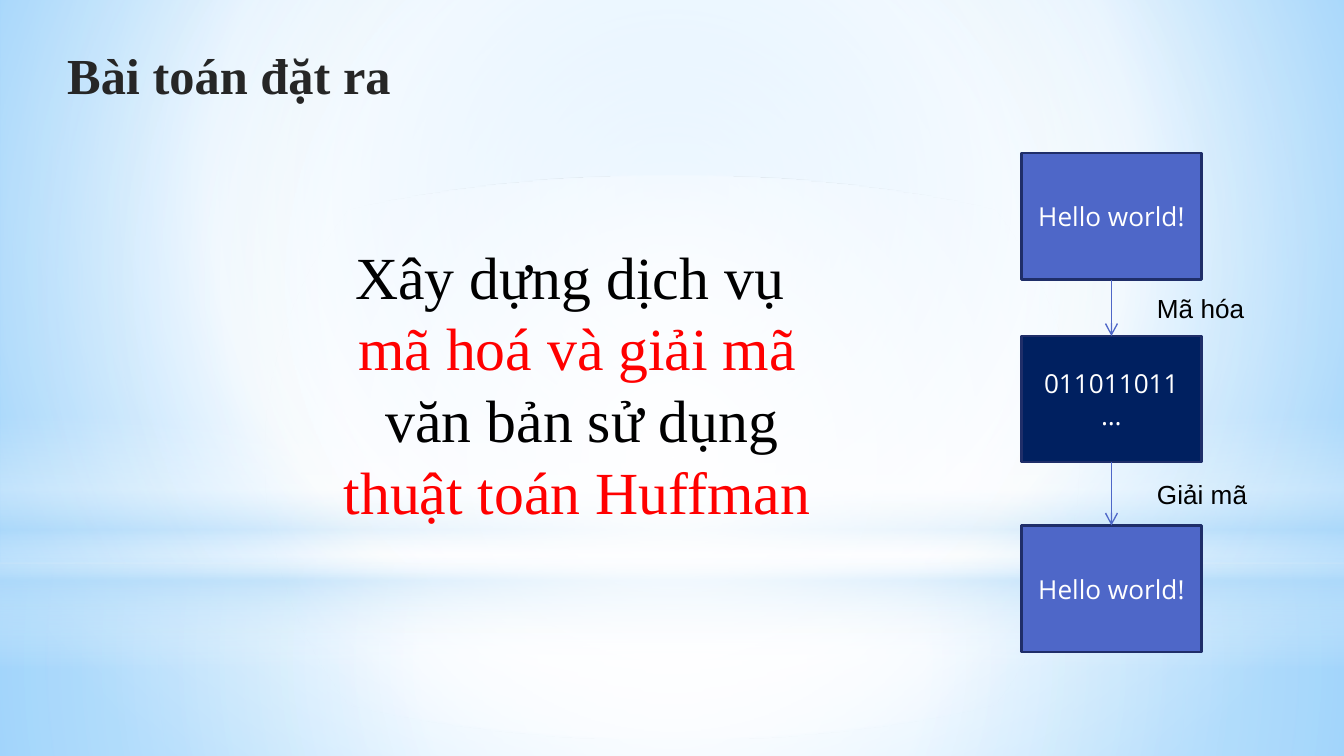
from lxml import etree
from pptx import Presentation
from pptx import util as u
from pptx.dml.color import RGBColor
from pptx.enum import shapes, text
from pptx.oxml import ns

COLORS = {
    "white": "FFFFFF", "black": "000000", "red": "FF0000", "title": "262626",
    "box": "4E67C8", "code": "002060", "outline": "1F2E69",
    "sky": "9ED5FF", "deep_sky": "5BB9FF", "mist": "B4DCFA",
}
CENTER = (50, 50, 50, 50)
SERIF = "Times New Roman"
SHAPE = shapes.MSO_SHAPE
BACKDROP = [
    (SHAPE.RECTANGLE, 4.19, 1.44, CENTER,
     [(0, "white", 91), (37, "white", 76), (100, "mist", 79)]),
    (SHAPE.RECTANGLE, 0, 4.19, CENTER,
     [(0, "white", 89), (48, "white", 62), (100, "mist", 79)]),
    (SHAPE.RECTANGLE, 3.09, 1.88, None,
     [(0, "white", 0), (29, "white", 30), (45, "mist", 40),
      (55, "white", 26), (65, "mist", 60), (100, "white", 0)]),
    (SHAPE.OVAL, 1.31, 4.19, CENTER, [(0, "white", 100), (56, "white", 0)]),
]
BODY = [
    [("Xây dựng dịch vụ", "black")],
    [(" mã hoá và giải mã ", "red"), ("văn bản sử dụng", "black")],
    [(" thuật toán Huffman", "red")],
]
BOXES = [("Hello world!", 1.14, "box"), ("011011011…", 2.5, "code"),
         ("Hello world!", 3.91, "box")]
LABELS = [("Mã hóa", 2.13, 0.85), ("Giải mã", 3.51, 0.88)]


def rgb(name):
    return RGBColor.from_string(COLORS[name])


def set_values(target, values):
    for name, value in values.items():
        setattr(target, name, value)


def add_node(parent, tag, **attributes):
    return etree.SubElement(parent, ns.qn(tag),
                            {name: str(value) for name, value in attributes.items()})


def set_gradient(properties, stops, focus):
    solid = properties.find(ns.qn("a:solidFill"))
    gradient = etree.Element(ns.qn("a:gradFill"), rotWithShape="1")
    stop_list = add_node(gradient, "a:gsLst")
    for position, color, opacity in stops:
        stop = add_node(stop_list, "a:gs", pos=position * 1000)
        swatch = add_node(stop, "a:srgbClr", val=COLORS[color])
        add_node(swatch, "a:alpha", val=opacity * 1000)
    if focus:
        edges = {side: value * 1000 for side, value in zip("ltrb", focus)}
        add_node(add_node(gradient, "a:path", path="circle"), "a:fillToRect", **edges)
    else:
        add_node(gradient, "a:lin", ang=90 * 60000, scaled=0)
    properties.replace(solid, gradient)


def add_backdrop(slide):
    slide.background.fill.solid()
    slide.background.fill.fore_color.rgb = rgb("white")
    set_gradient(slide.element.find(".//" + ns.qn("p:bgPr")),
                 [(0, "sky", 100), (60, "white", 100), (100, "deep_sky", 100)],
                 (20, 10, 20, 60))
    for kind, top, height, focus, stops in BACKDROP:
        shape = slide.shapes.add_shape(kind, 0, u.Inches(top), u.Inches(10), u.Inches(height))
        shape.shadow.inherit = False
        shape.line.fill.background()
        shape.fill.solid()
        set_gradient(shape.element.spPr, stops, focus)


def add_run(paragraph, words, color, size, font, bold=False):
    run = paragraph.add_run()
    run.text = words
    set_values(run.font, {"size": u.Pt(size), "name": font, "bold": bold})
    run.font.color.rgb = rgb(color)


def place(placeholder, left, top, width, height):
    set_values(placeholder, {"left": u.Inches(left), "top": u.Inches(top),
                             "width": u.Inches(width), "height": u.Inches(height)})
    set_values(placeholder.text_frame, {
        "margin_left": u.Inches(0.07), "margin_right": u.Inches(0.07),
        "margin_top": u.Inches(0.04), "margin_bottom": u.Inches(0.04),
        "word_wrap": True, "auto_size": text.MSO_AUTO_SIZE.NONE,
        "vertical_anchor": text.MSO_ANCHOR.TOP,
    })
    placeholder.element.getparent().append(placeholder.element)


def fill_title(title):
    place(title, 0.43, 0.29, 7.12, 0.94)
    paragraph = title.text_frame.paragraphs[0]
    set_values(paragraph, {"alignment": text.PP_ALIGN.LEFT, "line_spacing": 1.0})
    add_run(paragraph, "Bài toán đặt ra", "title", 27, SERIF, True)


def fill_body(body):
    place(body, 2.04, 1.74, 4.3, 2.8)
    frame = body.text_frame
    for index, runs in enumerate(BODY):
        paragraph = frame.add_paragraph() if index else frame.paragraphs[0]
        set_values(paragraph, {"alignment": text.PP_ALIGN.CENTER,
                               "line_spacing": 1.0, "space_before": u.Pt(0)})
        properties = paragraph._p.get_or_add_pPr()
        properties.set("marL", str(u.Inches(0.28)))
        properties.set("indent", str(u.Inches(-0.18)))
        add_node(properties, "a:buNone")
        for words, color in runs:
            add_run(paragraph, words, color, 32, SERIF)


def add_box(slide, words, top, color):
    box = slide.shapes.add_shape(SHAPE.RECTANGLE, u.Inches(7.6), u.Inches(top),
                                 u.Inches(1.34), u.Inches(0.94))
    box.shadow.inherit = False
    box.fill.solid()
    box.fill.fore_color.rgb = rgb(color)
    box.line.color.rgb = rgb("outline")
    box.line.width = u.Pt(1.25)
    set_values(box.text_frame, {"word_wrap": True,
                                "vertical_anchor": text.MSO_ANCHOR.MIDDLE})
    paragraph = box.text_frame.paragraphs[0]
    paragraph.alignment = text.PP_ALIGN.CENTER
    add_run(paragraph, words, "white", 14, "Open Sans")
    return box


def add_arrow(slide, upper, lower):
    arrow = slide.shapes.add_connector(shapes.MSO_CONNECTOR.STRAIGHT, 0, 0, 0, 0)
    arrow.begin_connect(upper, 2)
    arrow.end_connect(lower, 0)
    arrow.line.color.rgb = rgb("box")
    arrow.line.width = u.Pt(0.75)
    add_node(arrow.line._get_or_add_ln(), "a:tailEnd", type="arrow")
    add_node(arrow.element.spPr, "a:effectLst")


def add_label(slide, words, top, width):
    label = slide.shapes.add_textbox(u.Inches(8.51), u.Inches(top),
                                     u.Inches(width), u.Inches(0.34))
    set_values(label.text_frame, {"word_wrap": False,
                                  "auto_size": text.MSO_AUTO_SIZE.SHAPE_TO_FIT_TEXT})
    add_run(label.text_frame.paragraphs[0], words, "black", 14, "Arial")


def main():
    presentation = Presentation()
    set_values(presentation, {"slide_width": u.Inches(10),
                              "slide_height": u.Inches(10 * 9 / 16)})
    slide = presentation.slides.add_slide(presentation.slide_layouts[1])
    add_backdrop(slide)
    fill_title(slide.shapes.title)
    fill_body(slide.placeholders[1])
    boxes = [add_box(slide, *box) for box in BOXES]
    for upper, lower in zip(boxes, boxes[1:]):
        add_arrow(slide, upper, lower)
    for label in LABELS:
        add_label(slide, *label)
    presentation.save("out.pptx")


if __name__ == "__main__":
    main()
